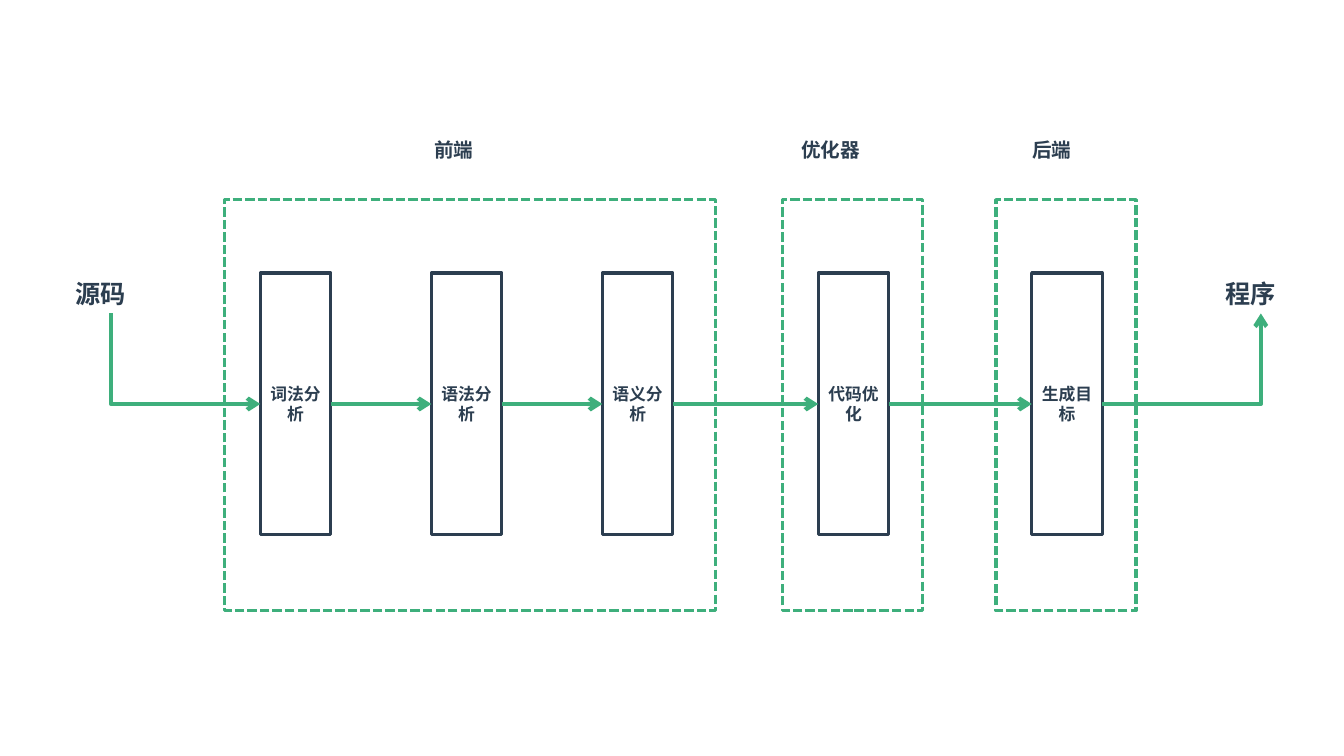
import pptx
import pptx.util
import pptx.dml.color
import pptx.enum.dml
import pptx.enum.shapes
import pptx.enum.text
import pptx.oxml.ns
import lxml.etree

Cm = pptx.util.Cm
MSO_CONNECTOR = pptx.enum.shapes.MSO_CONNECTOR
COLORS = {"ink": "2C3E50", "green": "3EAF7C"}
STEP_W, STEP_H, STEP_INSET, STEP_PITCH = 1.78, 6.6, 0.9, 4.31
STEP_TOP, FRAME_TOP, FRAME_H, LABEL_TOP = 6.88, 5.03, 10.36, 3.35
FLOW_Y = STEP_TOP + STEP_H / 2
END_W, END_H = 2.29, 1.02
STAGES = [
    ("前端", 10.69, 1.9, 5.66, 12.37, ["词法分析", "语法分析", "语义分析"]),
    ("优化器", 19.94, 2.54, 19.72, 3.53, ["代码优化"]),
    ("后端", 25.76, 1.9, 25.1, 3.53, ["生成目标"]),
]


def rgb(name):
    return pptx.dml.color.RGBColor.from_string(COLORS[name])


def set_text(tf, text, size):
    tf.text = text
    font = tf.paragraphs[0].runs[0].font
    font.name = "Arial"
    font.size = pptx.util.Pt(size)
    font.bold = True
    font.color.rgb = rgb("ink")


def add_label(s, text, left, top, width, height, size):
    tb = s.shapes.add_textbox(Cm(left), Cm(top), Cm(width), Cm(height))
    tb.text_frame.word_wrap = True
    set_text(tb.text_frame, text, size)


def add_box(s, left, top, width, height, color):
    sp = s.shapes.add_shape(pptx.enum.shapes.MSO_SHAPE.RECTANGLE,
                            Cm(left), Cm(top), Cm(width), Cm(height))
    sp.shadow.inherit = False
    sp.fill.background()
    sp.line.color.rgb = rgb(color)
    sp.line.width = pptx.util.Pt(2.25)
    return sp


def add_step(s, text, left):
    tf = add_box(s, left, STEP_TOP, STEP_W, STEP_H, "ink").text_frame
    tf.word_wrap = True
    tf.vertical_anchor = pptx.enum.text.MSO_ANCHOR.MIDDLE
    set_text(tf, text, 12)
    tf.paragraphs[0].alignment = pptx.enum.text.PP_ALIGN.CENTER


def add_stage(s, label, label_left, label_width, left, width, steps):
    add_label(s, label, label_left, LABEL_TOP, label_width, 0.86, 14)
    frame = add_box(s, left, FRAME_TOP, width, FRAME_H, "green")
    frame.line.dash_style = pptx.enum.dml.MSO_LINE.SQUARE_DOT
    lefts = [left + STEP_INSET + i * STEP_PITCH for i in range(len(steps))]
    for text, step_left in zip(steps, lefts):
        add_step(s, text, step_left)
    return lefts


def add_arrow(s, x1, y1, x2, y2, kind=MSO_CONNECTOR.STRAIGHT):
    c = s.shapes.add_connector(kind, Cm(x1), Cm(y1), Cm(x2), Cm(y2))
    c.line.color.rgb = rgb("green")
    c.line.width = pptx.util.Pt(3)
    qn = pptx.oxml.ns.qn
    spPr = c._element.spPr
    lxml.etree.SubElement(spPr.find(qn("a:ln")), qn("a:tailEnd"), type="arrow")
    lxml.etree.SubElement(spPr, qn("a:effectLst"))
    if kind == MSO_CONNECTOR.ELBOW:
        spPr.find(qn("a:prstGeom")).set("prst", "bentConnector2")
    return spPr


def add_entry(s, text, left, step_left):
    add_label(s, text, left, STEP_TOP, END_W, END_H, 18)
    x, y = left + END_W / 2, STEP_TOP + END_H
    cx, cy = (x + step_left) / 2, (y + FLOW_Y) / 2
    dx, dy = (FLOW_Y - y) / 2, (step_left - x) / 2
    spPr = add_arrow(s, cx - dx, cy + dy, cx + dx, cy - dy, MSO_CONNECTOR.ELBOW)
    spPr.find(pptx.oxml.ns.qn("a:xfrm")).set("rot", "5400000")


def add_exit(s, text, left, step_right):
    add_label(s, text, left, STEP_TOP, END_W, END_H, 18)
    add_arrow(s, step_right, FLOW_Y, left + END_W / 2, STEP_TOP + END_H,
              MSO_CONNECTOR.ELBOW)


def main():
    prs = pptx.Presentation()
    prs.slide_width, prs.slide_height = Cm(33.87), Cm(19.05)
    s = prs.slides.add_slide(prs.slide_layouts[6])
    lefts = []
    for stage in STAGES:
        lefts += add_stage(s, *stage)
    add_entry(s, "源码", 1.65, lefts[0])
    for left, following in zip(lefts, lefts[1:]):
        add_arrow(s, left + STEP_W, FLOW_Y, following, FLOW_Y)
    add_exit(s, "程序", 30.63, lefts[-1] + STEP_W)
    prs.save("out.pptx")


if __name__ == "__main__":
    main()
